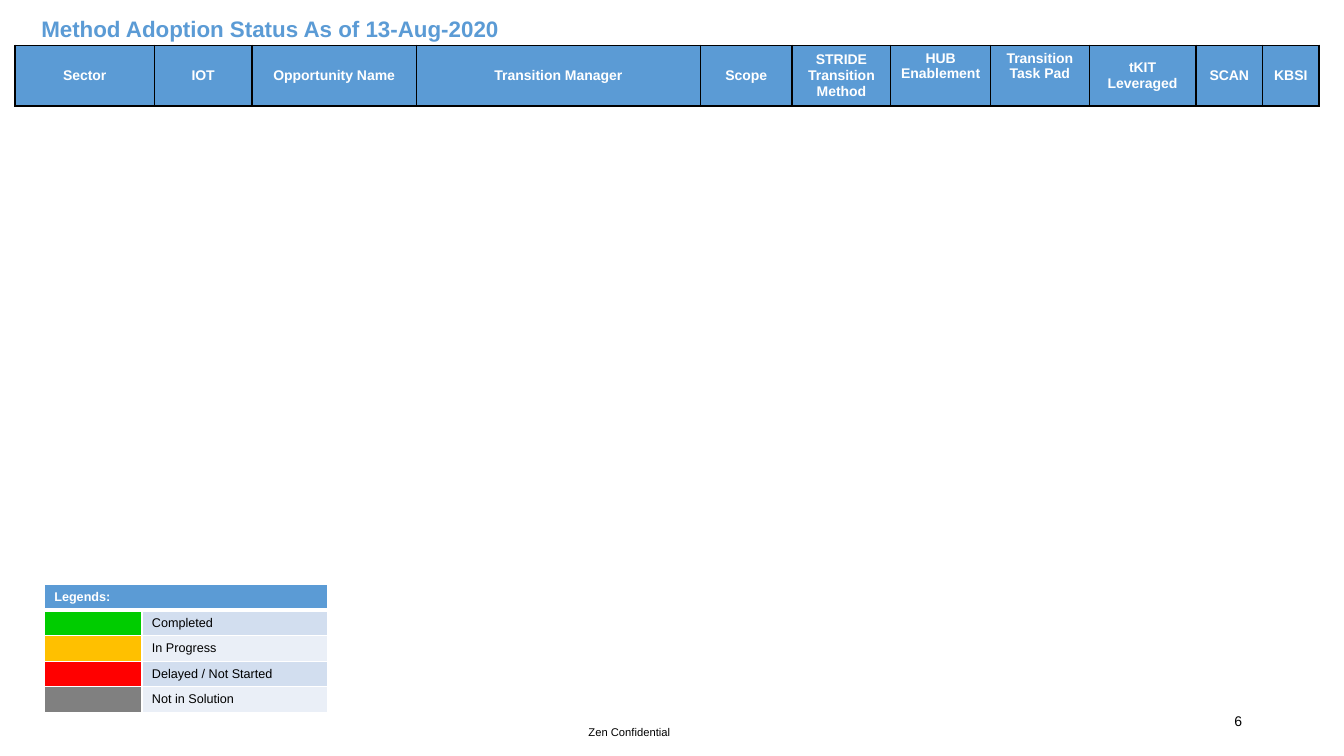
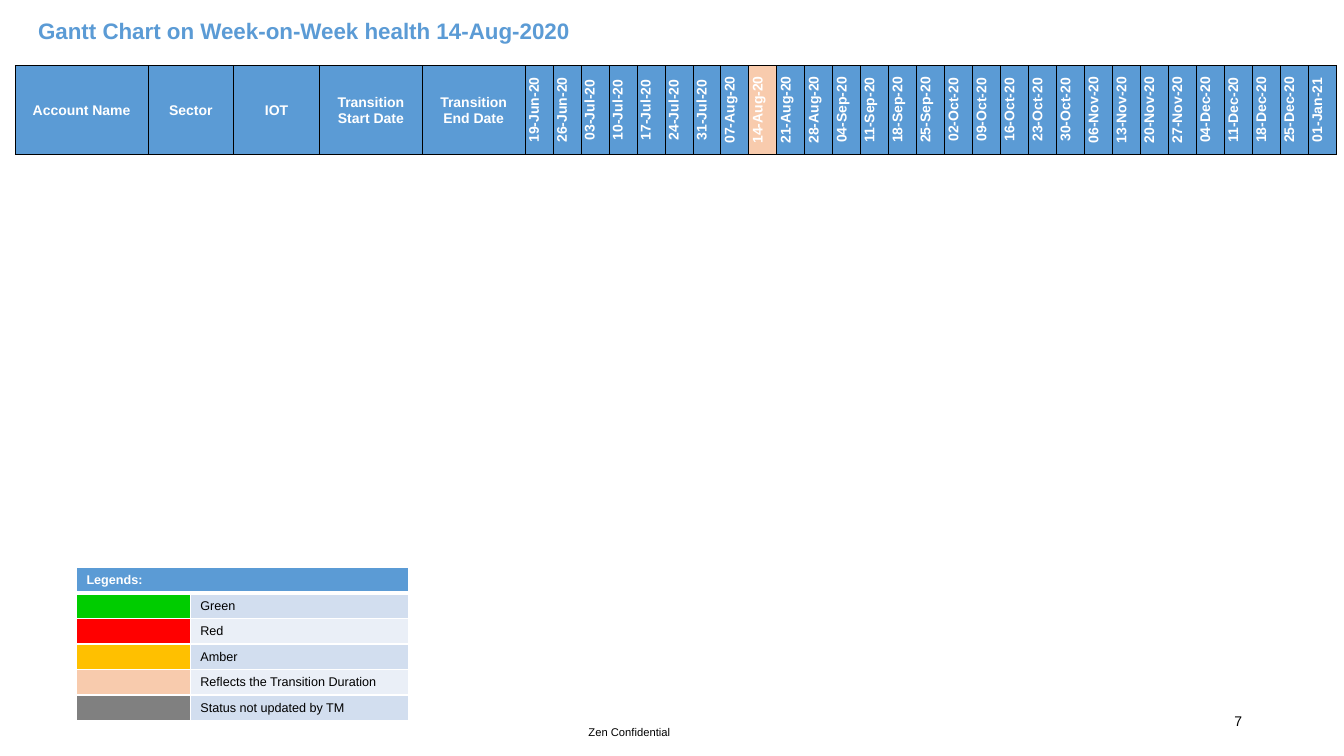
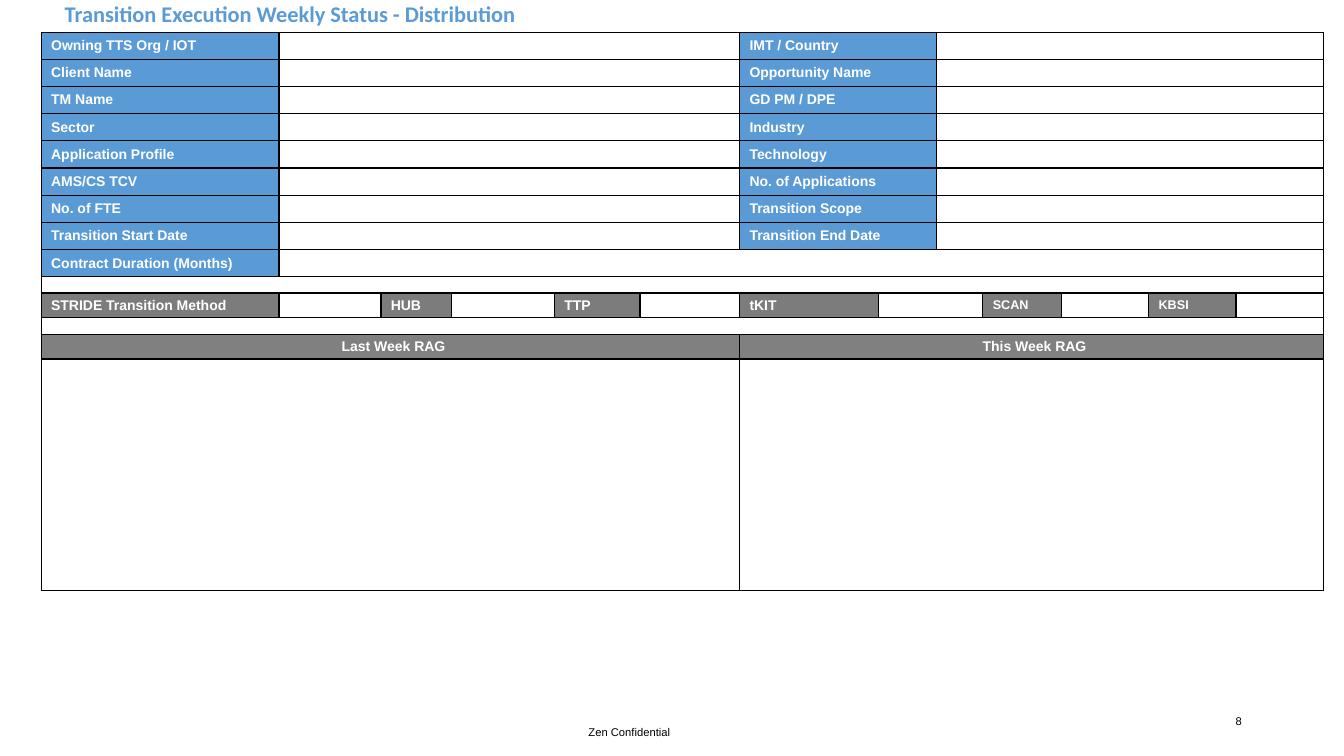
"""Build three transition status slides: method adoption, weekly Gantt and distribution."""
from lxml.etree import SubElement
from pptx import Presentation
from pptx.dml.color import RGBColor
from pptx.enum.text import MSO_ANCHOR, MSO_AUTO_SIZE, PP_ALIGN
from pptx.oxml.ns import qn
from pptx.util import Cm, Pt

BLUE = RGBColor(0x5B, 0x9B, 0xD5)
PEACH = RGBColor(0xF8, 0xCB, 0xAD)
GREEN = RGBColor(0x00, 0xCC, 0x00)
AMBER = RGBColor(0xFF, 0xC0, 0x00)
RED = RGBColor(0xFF, 0x00, 0x00)
GREY = RGBColor(0x80, 0x80, 0x80)
METHOD_GREY = RGBColor(0x7C, 0x7C, 0x7C)
BANDS = (RGBColor(0xD2, 0xDE, 0xEF), RGBColor(0xEA, 0xEF, 0xF7))
WHITE = RGBColor(0xFF, 0xFF, 0xFF)
BLACK = RGBColor(0x00, 0x00, 0x00)

FOOTER = "Zen Confidential"
FIRST_NUMBER = 6
INSETS = (0.25, 0.13, 0.25, 0.13)
TIGHT = (0.03, 0.03, 0.03, 0)
METHOD_INSETS = (0.25, 0.1, 0.1, 0.1)

ADOPTION_COLUMNS = [
    ("Sector", 3.51), ("IOT", 2.46), ("Opportunity Name", 4.14),
    ("Transition Manager", 7.16), ("Scope", 2.31),
    ("STRIDE Transition Method", 2.49), ("HUB Enablement", 2.51),
    ("Transition Task Pad", 2.49), ("tKIT Leveraged", 2.69),
    ("SCAN", 1.68), ("KBSI", 1.42),
]
TOP_ALIGNED = ("HUB Enablement", "Transition Task Pad")
ADOPTION_LEGEND = [
    ("Completed", GREEN), ("In Progress", AMBER),
    ("Delayed / Not Started", RED), ("Not in Solution", GREY),
]

GANTT_WIDTH = 33.32
GANTT_COLUMNS = [
    ("Account Name", 3.35), ("Sector", 2.16), ("IOT", 2.16),
    ("Transition\nStart Date", 2.59), ("Transition\nEnd Date", 2.59),
]
WEEKS = (
    "19-Jun-20 26-Jun-20 03-Jul-20 10-Jul-20 17-Jul-20 24-Jul-20 31-Jul-20 "
    "07-Aug-20 14-Aug-20 21-Aug-20 28-Aug-20 04-Sep-20 11-Sep-20 18-Sep-20 "
    "25-Sep-20 02-Oct-20 09-Oct-20 16-Oct-20 23-Oct-20 30-Oct-20 06-Nov-20 "
    "13-Nov-20 20-Nov-20 27-Nov-20 04-Dec-20 11-Dec-20 18-Dec-20 25-Dec-20 "
    "01-Jan-21"
).split()
CURRENT_WEEK = "14-Aug-20"
GANTT_LEGEND = [
    ("Green", GREEN), ("Red", RED), ("Amber", AMBER),
    ("Reflects the Transition Duration", PEACH),
    ("Status not updated by TM", GREY),
]

STATUS_WIDTHS = [5.99, 2.57, 1.78, 2.59, 2.16, 2.51, 3.51, 1.45, 1.17, 1.98,
                 2.2, 2.2, 2.2]
STATUS_HEIGHTS = [0.68] * 9 + [0.41, 0.62, 0.41, 0.62, 5.84]
STATUS_FIELDS = [
    ("Owning TTS Org / IOT", "IMT / Country"),
    ("Client Name", "Opportunity Name"),
    ("TM Name", "GD PM / DPE"),
    ("Sector", "Industry"),
    ("Application Profile", "Technology"),
    ("AMS/CS TCV", "No. of Applications"),
    ("No. of FTE", "Transition Scope"),
    ("Transition Start Date", "Transition End Date"),
]
METHODS = [
    ("STRIDE Transition Method", 10, 1), ("HUB", 10, 1), ("TTP", 10, 1),
    ("tKIT", 10, 2), ("SCAN", 9, 1), ("KBSI", 9, 1),
]


def write(holder, tf, text, size=10, color=WHITE, bold=True, font="Arial",
          align=PP_ALIGN.LEFT, anchor=MSO_ANCHOR.MIDDLE, insets=INSETS):
    """Put formatted text in a frame whose margins belong to holder."""
    (holder.margin_left, holder.margin_top,
     holder.margin_right, holder.margin_bottom) = map(Cm, insets)
    holder.vertical_anchor = anchor
    for i, line in enumerate(text.split("\n")):
        p = tf.add_paragraph() if i else tf.paragraphs[0]
        p.alignment = align
        r = p.add_run()
        r.text = line
        r.font.size, r.font.bold, r.font.name = Pt(size), bold, font
        r.font.color.rgb = color


def add_text(slide, text, box, wrap=True, **fmt):
    """Add a plain text box."""
    tf = slide.shapes.add_textbox(*map(Cm, box)).text_frame
    tf.word_wrap = wrap
    write(tf, tf, text, color=BLACK, bold=False, **fmt)


def new_slide(prs, title, box, **fmt):
    """Add a slide with its title and footer."""
    slide = prs.slides.add_slide(prs.slide_layouts[5])
    sp = slide.shapes.title
    sp.left, sp.top, sp.width, sp.height = map(Cm, box)
    tf = sp.text_frame
    tf.auto_size = MSO_AUTO_SIZE.NONE
    write(tf, tf, title, size=16, color=BLUE, **fmt)
    add_text(slide, FOOTER, (14.58, 18.16, 2.62, 0.61), wrap=False, size=8,
             anchor=MSO_ANCHOR.TOP)
    return slide


def add_number(slide, number, size=10):
    """Add the slide number at the lower right."""
    add_text(slide, str(number), (23.93, 17.65, 7.62, 1.02), size=size,
             align=PP_ALIGN.RIGHT)


def entry(text="", fill=WHITE, span=1, vert=None, edges=None, **fmt):
    """Describe one table cell."""
    return dict(text=text, fill=fill, span=span, vert=vert, edges=edges or {},
                fmt=fmt)


def style_cell(cell, item, text, line_color, line_width):
    """Give a cell its borders, fill and text."""
    tc_pr = cell._tc.get_or_add_tcPr()
    for side in "LRTB":
        width = item["edges"].get(side, line_width)
        ln = SubElement(tc_pr, qn(f"a:ln{side}"), w=str(Pt(width)))
        fill = SubElement(ln, qn("a:solidFill"))
        SubElement(fill, qn("a:srgbClr"), val=str(line_color))
    cell.fill.solid()
    cell.fill.fore_color.rgb = item["fill"]
    if item["vert"]:
        tc_pr.set("vert", item["vert"])
    if text:
        write(cell, cell.text_frame, text, **item["fmt"])
    else:
        cell.margin_left = cell.margin_right = 0
        cell.margin_top = cell.margin_bottom = 0
        SubElement(cell.text_frame.paragraphs[0]._p, qn("a:endParaRPr"), sz="600")


def add_grid(slide, left, top, widths, heights, rows, line_color=BLACK, line_width=1):
    """Add a table from rows of entries."""
    box = map(Cm, (left, top, sum(widths), sum(heights)))
    table = slide.shapes.add_table(len(heights), len(widths), *box).table
    table.first_row = table.horz_banding = False
    for column, width in zip(table.columns, widths):
        column.width = Cm(width)
    for row, height in zip(table.rows, heights):
        row.height = Cm(height)
    for y, row in enumerate(rows):
        x = 0
        for item in row:
            span = item["span"]
            for k in range(span):
                text = "" if k else item["text"]
                style_cell(table.cell(y, x + k), item, text, line_color, line_width)
            if span > 1:
                table.cell(y, x).merge(table.cell(y, x + span - 1))
            x += span


def add_legend(slide, left, top, widths, items):
    """Add a colour key with a header row."""
    rows = [[entry("Legends:", BLUE, 2, edges={"B": 3}, size=9)]]
    for i, (label, color) in enumerate(items):
        edges = {} if i else {"T": 3}
        rows.append([entry(fill=color, edges=edges),
                     entry(label, BANDS[i % 2], edges=edges, size=9,
                           color=BLACK, bold=False)])
    add_grid(slide, left, top, widths, [0.64] * len(rows), rows, WHITE)


def adoption_slide(prs):
    """Build the method adoption slide."""
    slide = new_slide(prs, "Method Adoption Status As of 13-Aug-2020",
                      (0.79, 0.25, 19.48, 0.94), anchor=MSO_ANCHOR.TOP)
    add_number(slide, FIRST_NUMBER)
    header = [entry(name, BLUE, align=PP_ALIGN.CENTER,
                    anchor=MSO_ANCHOR.TOP if name in TOP_ALIGNED else MSO_ANCHOR.MIDDLE)
              for name, _ in ADOPTION_COLUMNS]
    add_grid(slide, 0.38, 1.14, [w for _, w in ADOPTION_COLUMNS], [1.52], [header])
    add_legend(slide, 1.12, 14.73, [2.46, 4.67], ADOPTION_LEGEND)


def gantt_slide(prs):
    """Build the week-on-week Gantt slide."""
    slide = new_slide(prs, "Gantt Chart on Week-on-Week health 14-Aug-2020",
                      (0.71, 0.3, 19.63, 0.94), anchor=MSO_ANCHOR.TOP)
    add_number(slide, FIRST_NUMBER + 1)
    fmt = dict(align=PP_ALIGN.CENTER, insets=TIGHT)
    header = [entry(name, BLUE, **fmt) for name, _ in GANTT_COLUMNS]
    header += [entry(week, PEACH if week == CURRENT_WEEK else BLUE,
                     vert="vert270", **fmt) for week in WEEKS]
    widths = [w for _, w in GANTT_COLUMNS]
    widths += [(GANTT_WIDTH - sum(widths)) / len(WEEKS)] * len(WEEKS)
    add_grid(slide, 0.38, 1.65, widths, [2.24], [header], line_width=0.5)
    add_legend(slide, 1.93, 14.3, [2.87, 5.49], GANTT_LEGEND)


def status_slide(prs):
    """Build the weekly status distribution slide."""
    slide = new_slide(prs, "Transition Execution Weekly Status - Distribution",
                      (1.63, -0.2, 28.93, 1.02), font="Calibri",
                      anchor=MSO_ANCHOR.BOTTOM, insets=(0, 0.13, 0, 0.13))
    add_number(slide, FIRST_NUMBER + 2, size=8)
    rows = [[entry(a, BLUE), entry(span=5), entry(b, BLUE, 2), entry(span=5)]
            for a, b in STATUS_FIELDS]
    gap = [entry(span=13)]
    methods = []
    for name, size, span in METHODS:
        methods += [entry(name, METHOD_GREY, size=size, insets=METHOD_INSETS),
                    entry(span=span)]
    rag = [entry(f"{week} Week RAG", GREY, span, align=PP_ALIGN.CENTER,
                 insets=METHOD_INSETS) for week, span in (("Last", 6), ("This", 7))]
    rows += [[entry("Contract Duration (Months)", BLUE), entry(span=12)],
             gap, methods, gap, rag, [entry(span=6), entry(span=7)]]
    add_grid(slide, 1.04, 0.81, STATUS_WIDTHS, STATUS_HEIGHTS, rows)


def main():
    """Build and save the presentation."""
    prs = Presentation()
    prs.slide_width, prs.slide_height = Cm(33.87), Cm(19.05)
    adoption_slide(prs)
    gantt_slide(prs)
    status_slide(prs)
    prs.save("out.pptx")


if __name__ == "__main__":
    main()
